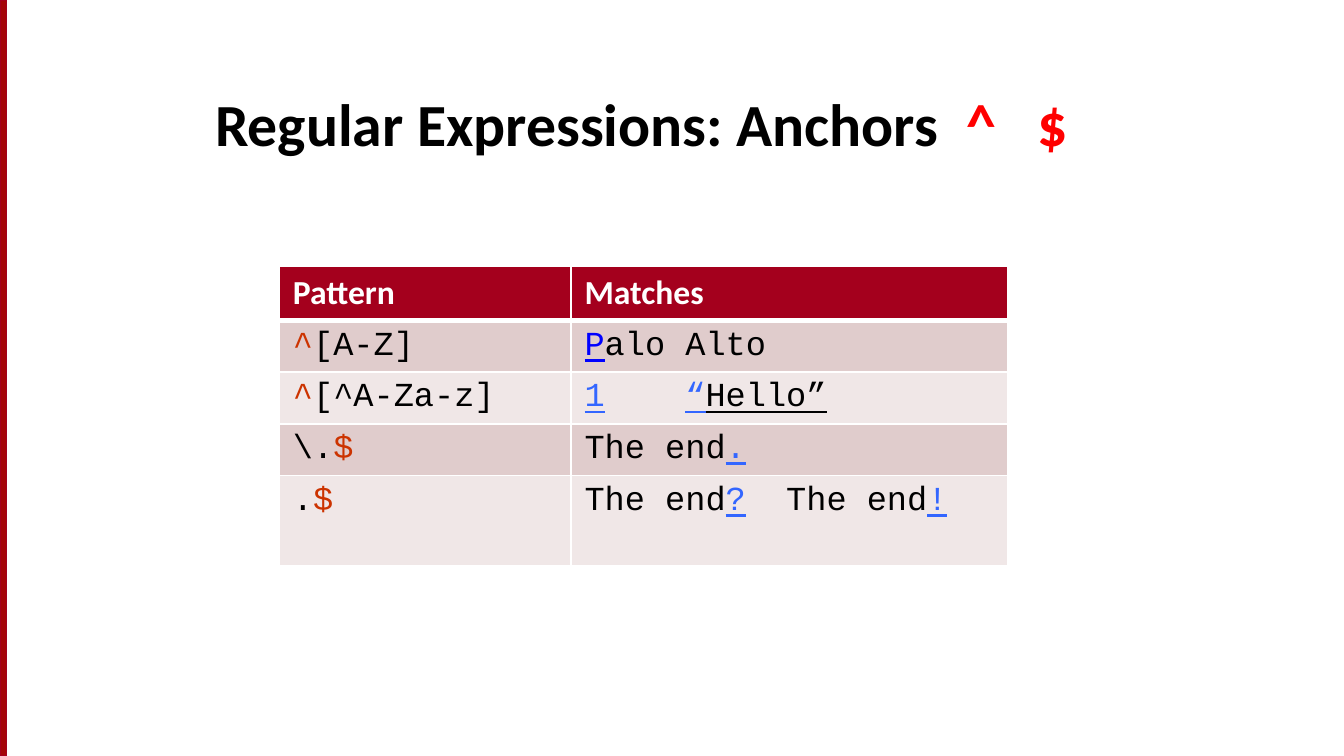
from pptx import Presentation
from pptx.dml.color import RGBColor
from pptx.enum.shapes import MSO_SHAPE
from pptx.enum.text import MSO_ANCHOR, MSO_AUTO_SIZE, PP_ALIGN
from pptx.oxml import parse_xml
from pptx.oxml.ns import nsdecls
from pptx.util import Inches, Pt

RECTANGLE = MSO_SHAPE.RECTANGLE
BOTTOM = MSO_ANCHOR.BOTTOM
LEFT = PP_ALIGN.LEFT
NO_AUTOFIT = MSO_AUTO_SIZE.NONE

WIDTH = 10
HEIGHT = WIDTH * 9 / 16
TITLE_ONLY = 5
BLACK, WHITE, RED = "000000", "FFFFFF", "FF0000"
CRIMSON, ANCHOR, MATCH, LINK = "A4001D", "CC3300", "3366FF", "0000FF"
BANDS = ["E0CCCC", "F0E7E7"]
COLUMNS = [2.17, 3.25]
ROWS = [0.39, 0.38, 0.38, 0.38, 0.67]

HEADER = [[("Pattern", WHITE, False)], [("Matches", WHITE, False)]]
BODY = [
    [[("^", ANCHOR, False), ("[A-Z]", BLACK, False)],
     [("P", LINK, True), ("alo Alto", BLACK, False)]],
    [[("^", ANCHOR, False), ("[^A-Za-z]", BLACK, False)],
     [("1", MATCH, True), ("\t", MATCH, False), ("“", MATCH, True),
      ("Hello”", BLACK, True)]],
    [[("\\.", BLACK, False), ("$", ANCHOR, False)],
     [("The end", BLACK, False), (".", MATCH, True)]],
    [[(".", BLACK, False), ("$", ANCHOR, False)],
     [("The end", BLACK, False), ("?", MATCH, True), ("\t", MATCH, False),
      ("The end", BLACK, False), ("!", MATCH, True)]],
]


def color(value):
    return RGBColor.from_string(value)


def add_runs(paragraph, runs, font, size, bold):
    for text, shade, underline in runs:
        run = paragraph.add_run()
        run.text = text
        run.font.name = font
        run.font.size = Pt(size)
        run.font.bold = bold
        run.font.underline = underline
        run.font.color.rgb = color(shade)


def set_tabs(paragraph, stops):
    tabs = "".join(f'<a:tab pos="{Inches(stop)}" algn="l"/>' for stop in stops)
    properties = paragraph._p.get_or_add_pPr()
    properties.append(parse_xml(f'<a:tabLst {nsdecls("a")}>{tabs}</a:tabLst>'))


def set_borders(cell, bottom, top):
    properties = cell._tc.get_or_add_tcPr()
    for side, points in (("L", 0.96), ("R", 0.96), ("T", top), ("B", bottom)):
        properties.append(parse_xml(
            f'<a:ln{side} {nsdecls("a")} w="{Pt(points)}"><a:solidFill>'
            f'<a:srgbClr val="{WHITE}"/></a:solidFill></a:ln{side}>'))


def add_edge_bar(slide, left, top, width, height):
    bar = slide.shapes.add_shape(
        RECTANGLE, Inches(left), Inches(top), Inches(width), Inches(height))
    bar.shadow.inherit = False
    bar.fill.solid()
    bar.fill.fore_color.rgb = color("A40508")
    bar.line.color.rgb = color(CRIMSON)
    bar.line.width = Pt(0.74)


def fill_title(slide, left, top, width, height):
    title = slide.shapes.title
    title.left, title.top = Inches(left), Inches(top)
    title.width, title.height = Inches(width), Inches(height)
    frame = title.text_frame
    frame.word_wrap = True
    frame.auto_size = NO_AUTOFIT
    frame.vertical_anchor = BOTTOM
    paragraph = frame.paragraphs[0]
    paragraph.alignment = LEFT
    set_tabs(paragraph, [5.59, 6.12])
    add_runs(paragraph, [("Regular Expressions: Anchors", BLACK, False),
                         ("\t^\t$", RED, False)], "Calibri", 32, True)


def add_pattern_table(slide, left, top):
    table = slide.shapes.add_table(
        len(ROWS), len(COLUMNS), Inches(left), Inches(top),
        Inches(sum(COLUMNS)), Inches(sum(ROWS))).table
    for column, width in zip(table.columns, COLUMNS):
        column.width = Inches(width)
    for index, (height, contents) in enumerate(zip(ROWS, [HEADER] + BODY)):
        table.rows[index].height = Inches(height)
        is_header = index == 0
        for cell, runs in zip(table.rows[index].cells, contents):
            set_borders(cell, 3 if is_header else 0.96, 3 if index == 1 else 0.96)
            cell.fill.solid()
            cell.fill.fore_color.rgb = color(
                CRIMSON if is_header else BANDS[(index - 1) % 2])
            paragraph = cell.text_frame.paragraphs[0]
            set_tabs(paragraph, [0.75, 1.5])
            add_runs(paragraph, runs, "Calibri" if is_header else "Courier New",
                     18, is_header)


presentation = Presentation()
presentation.slide_width = Inches(WIDTH)
presentation.slide_height = Inches(HEIGHT)
slide = presentation.slides.add_slide(presentation.slide_layouts[TITLE_ONLY])
add_edge_bar(slide, 0, 0, 0.05, HEIGHT)
fill_title(slide, 1.5, 0.42, 8.17, 0.81)
add_pattern_table(slide, 2.08, 1.98)
presentation.save("out.pptx")
